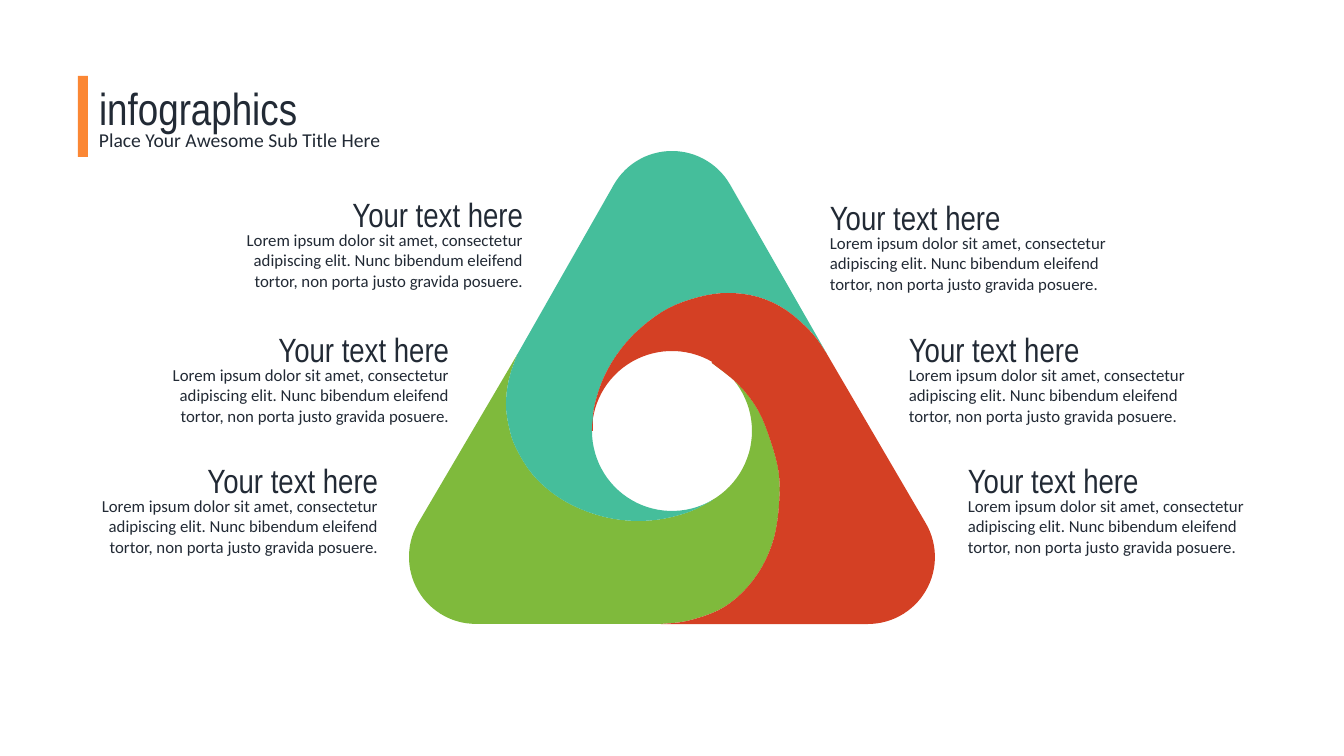
from math import cos, radians, sin

from pptx import Presentation
from pptx.dml.color import RGBColor
from pptx.enum.shapes import MSO_SHAPE
from pptx.enum.text import MSO_ANCHOR, MSO_AUTO_SIZE, PP_ALIGN
from pptx.util import Pt

PX = 914400 / 100.8
RECT = MSO_SHAPE.RECTANGLE
TOP = MSO_ANCHOR.TOP
NO_FIT = MSO_AUTO_SIZE.NONE
LEFT, RIGHT = PP_ALIGN.LEFT, PP_ALIGN.RIGHT

INK = RGBColor(0x22, 0x2A, 0x35)
ORANGE = RGBColor(0xFB, 0x87, 0x34)
GREEN = RGBColor(0x7F, 0xBA, 0x3C)
TEAL = RGBColor(0x45, 0xBE, 0x9B)
RED = RGBColor(0xD4, 0x40, 0x24)

TITLE = {"name": "Arial Narrow", "size": Pt(32)}
SUBTITLE = {"name": "Calibri", "size": Pt(14)}
HEADING = {"name": "Arial Narrow", "size": Pt(24)}
BODY = {"name": "Calibri", "size": Pt(12)}

LOREM = ("Lorem ipsum dolor sit amet, consectetur adipiscing elit. "
         "Nunc bibendum eleifend tortor, non porta justo gravida posuere.")

HOLE, HOLE_RADIUS = (262, 280), 80
CORNER_RADIUS = 67
BLADES = [
    (GREEN, (66, 406), 90,
     [(107, 204), (99, 228), (96, 253), (99, 276), (106, 297), (123, 324),
      (148, 346), (178, 361), (211, 369), (246, 369), (279, 361), (303, 349)]),
    (TEAL, (262, 67), 210,
     [(417, 203), (402, 182), (376, 159), (348, 146), (318, 142), (289, 146),
      (259, 157), (233, 175), (211, 198), (194, 226), (184, 257), (183, 280)]),
    (RED, (458, 406), 330,
     [(251, 473), (277, 470), (309, 459), (333, 441), (352, 416), (364, 387),
      (369, 355), (369, 323), (361, 291), (348, 259), (328, 233), (302, 212)]),
]

CAPTIONS = [
    (209, 189, RIGHT), (135, 324, RIGHT), (64, 455, RIGHT),
    (820, 192, LEFT), (899, 324, LEFT), (958, 455, LEFT),
]


def emu(*lengths):
    return [round(n * PX) for n in lengths]


def paint(sp, color):
    sp.shadow.inherit = False
    sp.fill.solid()
    sp.fill.fore_color.rgb = color
    sp.line.fill.background()


def write(sp, text, style, align=LEFT):
    tf = sp.text_frame
    frame = {"word_wrap": True, "auto_size": NO_FIT, "vertical_anchor": TOP}
    for key, value in frame.items():
        setattr(tf, key, value)
    p = tf.paragraphs[0]
    p.alignment = align
    r = p.add_run()
    r.text = text
    for key, value in style.items():
        setattr(r.font, key, value)
    r.font.color.rgb = INK


def arc(center, radius, start, sweep, steps=30):
    angles = [radians(start + sweep * i / steps) for i in range(steps + 1)]
    return [(center[0] + radius * cos(a), center[1] + radius * sin(a))
            for a in angles]


def smooth_curve(knots, steps=4):
    ends = [knots[0], *knots, knots[-1]]
    points = []
    for a, b, c, d in zip(ends, ends[1:], ends[2:], ends[3:]):
        for i in range(steps):
            t = i / steps
            points.append(tuple(
                q + t / 2 * (r - p + t * (2 * p - 5 * q + 4 * r - s
                                          + t * (3 * (q - r) + s - p)))
                for p, q, r, s in zip(a, b, c, d)))
    return points + [knots[-1]]


def add_header(s, x, y, w, h):
    title = s.shapes.title
    title.left, title.top, title.width, title.height = emu(x + 11, y, w - 11, 64)
    write(title, "infographics", TITLE)
    subtitle = s.shapes.add_textbox(*emu(x + 11, y + 47, w - 11, 34))
    write(subtitle, "Place Your Awesome Sub Title Here", SUBTITLE)
    paint(s.shapes.add_shape(RECT, *emu(x, y, 10, h)), ORANGE)


def add_triangle(s, x, y):
    for i, (color, corner, corner_start, swirl) in enumerate(BLADES):
        next_swirl = BLADES[i - 1][3]
        outline = (smooth_curve(swirl)
                   + arc(HOLE, HOLE_RADIUS, 60 + 120 * i, -120)
                   + smooth_curve(next_swirl)[::-1]
                   + arc(corner, CORNER_RADIUS, corner_start, 120))
        points = [emu(x + dx, y + dy) for dx, dy in outline]
        builder = s.shapes.build_freeform(*points[0])
        builder.add_line_segments(points[1:], close=True)
        paint(builder.convert_to_shape(), color)


def add_caption(s, x, y, w, align):
    write(s.shapes.add_textbox(*emu(x, y + 36, w, 72)), LOREM, BODY, align)
    write(s.shapes.add_textbox(*emu(x, y, w, 50)), "Your text here", HEADING, align)


def main():
    prs = Presentation()
    prs.slide_width, prs.slide_height = emu(1344, 756)
    s = prs.slides.add_slide(prs.slide_layouts[5])
    add_triangle(s, 410, 151)
    for x, y, align in CAPTIONS:
        add_caption(s, x, y, 324, align)
    add_header(s, 78, 76, 445, 81)
    prs.save("out.pptx")


if __name__ == "__main__":
    main()
